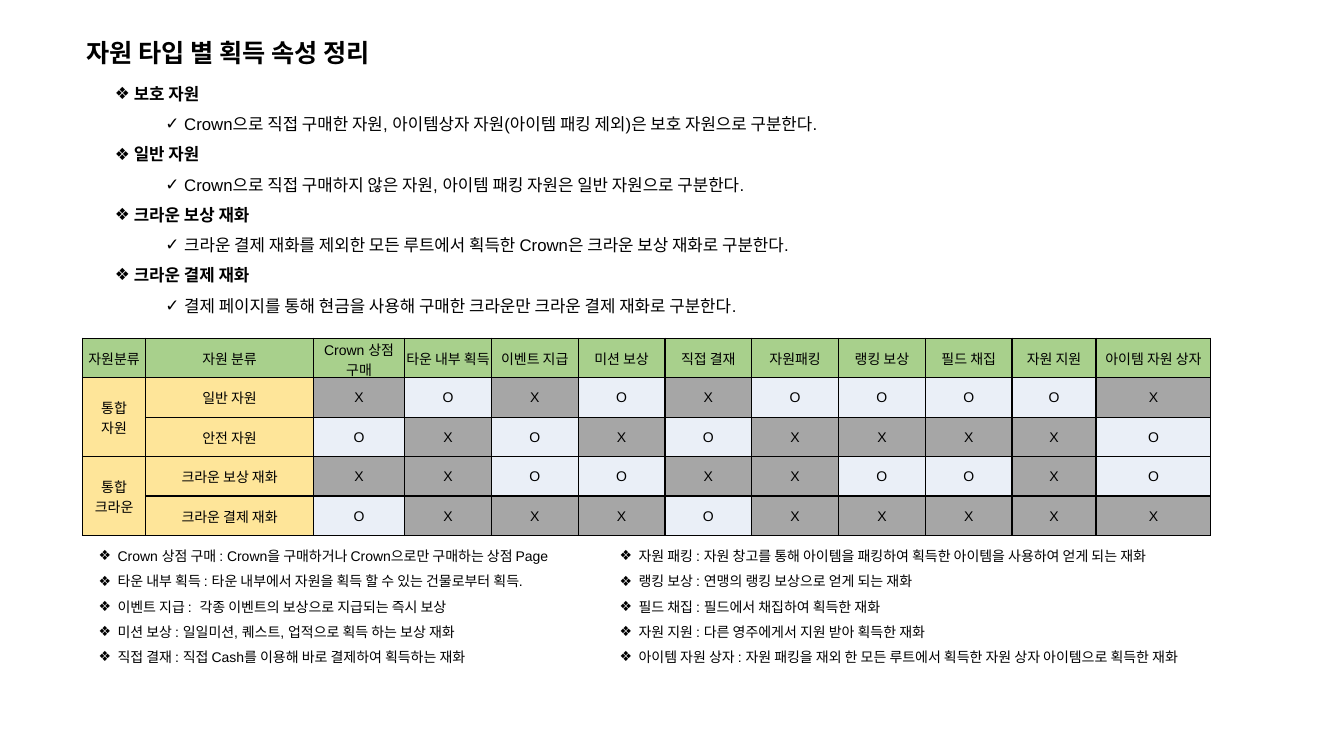
from lxml import etree
from pptx import Presentation
from pptx.dml.color import RGBColor
from pptx.enum import text
from pptx.oxml import ns
from pptx.util import Pt

COLORS = {"ink": "000000", "header": "A8D08C", "label": "FEE599",
          "X": "A6A6A6", "O": "EAEFF7"}
FONT = "Arial"

TITLE = "자원 타입 별 획득 속성 정리"
DEFINITIONS = [
    ("보호 자원", "Crown으로 직접 구매한 자원, 아이템상자 자원(아이템 패킹 제외)은 보호 자원으로 구분한다."),
    ("일반 자원", "Crown으로 직접 구매하지 않은 자원, 아이템 패킹 자원은 일반 자원으로 구분한다."),
    ("크라운 보상 재화", "크라운 결제 재화를 제외한 모든 루트에서 획득한 Crown은 크라운 보상 재화로 구분한다."),
    ("크라운 결제 재화", "결제 페이지를 통해 현금을 사용해 구매한 크라운만 크라운 결제 재화로 구분한다."),
]
HEADERS = ["자원분류", "자원 분류", "Crown 상점 구매", "타운 내부 획득", "이벤트 지급", "미션 보상",
           "직접 결재", "자원패킹", "랭킹 보상", "필드 채집", "자원 지원", "아이템 자원 상자"]
ROWS = [
    ("일반 자원", "XOXOXOOOOX"),
    ("안전 자원", "OXOXOXXXXO"),
    ("크라운 보상 재화", "XXOOXXOOXO"),
    ("크라운 결제 재화", "OXXXOXXXXX"),
]
GROUPS = ["통합\n자원", "통합\n크라운"]
COLUMN_WIDTHS = [45, 120, 65] + [62] * 7 + [60, 82]
ROW_HEIGHT = 28.2
NOTES_LEFT = [
    "Crown 상점 구매 : Crown을 구매하거나 Crown으로만 구매하는 상점 Page",
    "타운 내부 획득 : 타운 내부에서 자원을 획득 할 수 있는 건물로부터 획득.",
    "이벤트 지급 :  각종 이벤트의 보상으로 지급되는 즉시 보상",
    "미션 보상 : 일일미션, 퀘스트, 업적으로 획득 하는 보상 재화",
    "직접 결재 : 직접 Cash를 이용해 바로 결제하여 획득하는 재화",
]
NOTES_RIGHT = [
    "자원 패킹 : 자원 창고를 통해 아이템을 패킹하여 획득한 아이템을 사용하여 얻게 되는 재화",
    "랭킹 보상 : 연맹의 랭킹 보상으로 얻게 되는 재화",
    "필드 채집 : 필드에서 채집하여 획득한 재화",
    "자원 지원 : 다른 영주에게서 지원 받아 획득한 재화",
    "아이템 자원 상자 : 자원 패킹을 재외 한 모든 루트에서 획득한 자원 상자 아이템으로 획득한 재화",
]


def color(name):
    return RGBColor.from_string(COLORS[name])


def set_values(target, values):
    for name, value in values.items():
        setattr(target, name, value)


def write(para, words, size, bold=False):
    span = para.add_run()
    span.text = words
    set_values(span.font, {"name": FONT, "size": Pt(size), "bold": bold})
    span.font.color.rgb = color("ink")


def add_bullet(para, mark, indent):
    set_values(para, {"line_spacing": 1.5, "level": 1 if mark == "❖" else 2})
    props = para._p.get_or_add_pPr()
    props.set("marL", str(Pt(indent)))
    props.set("indent", str(Pt(-13.5)))
    etree.SubElement(props, ns.qn("a:buFont"), typeface=FONT)
    etree.SubElement(props, ns.qn("a:buChar"), char=mark)


def add_text(page, box, lines):
    """Each line is (words, size, bold, bullet mark, indent)."""
    frame = page.shapes.add_textbox(*map(Pt, box)).text_frame
    frame.word_wrap = True
    for index, (words, size, bold, mark, indent) in enumerate(lines):
        para = frame.add_paragraph() if index else frame.paragraphs[0]
        if mark:
            add_bullet(para, mark, indent)
        write(para, words, size, bold)


def add_title(page, box):
    add_text(page, box, [(TITLE, 18, True, None, 0)])


def add_definitions(page, box):
    lines = []
    for term, meaning in DEFINITIONS:
        lines += [(term, 12, True, "❖", 49.5), (meaning, 12, False, "✓", 85.5)]
    add_text(page, box, lines)


def add_notes(page, box, notes):
    add_text(page, box, [(note, 10, False, "❖", 49.5) for note in notes])


def add_borders(cell):
    props = cell._tc.get_or_add_tcPr()
    for index, side in enumerate(("lnL", "lnR", "lnT", "lnB")):
        line = etree.Element(ns.qn("a:" + side), w=str(Pt(1)))
        fill = etree.SubElement(line, ns.qn("a:solidFill"))
        etree.SubElement(fill, ns.qn("a:srgbClr"), val=COLORS["ink"])
        props.insert(index, line)


def fill_cell(cell, words, fill):
    set_values(cell, {"margin_left": Pt(0.7), "margin_right": Pt(0.7),
                      "margin_top": Pt(0.7), "margin_bottom": 0,
                      "vertical_anchor": text.MSO_ANCHOR.MIDDLE})
    cell.fill.solid()
    cell.fill.fore_color.rgb = color(fill)
    add_borders(cell)
    for index, line in enumerate(words.split("\n")):
        frame = cell.text_frame
        para = frame.add_paragraph() if index else frame.paragraphs[0]
        para.alignment = text.PP_ALIGN.CENTER
        write(para, line, 10)


def add_matrix(page, box):
    table = page.shapes.add_table(len(ROWS) + 1, len(HEADERS), *map(Pt, box)).table
    set_values(table, {"first_row": False, "horz_banding": False})
    for column, width in zip(table.columns, COLUMN_WIDTHS):
        column.width = Pt(width)
    for row in table.rows:
        row.height = Pt(ROW_HEIGHT)
    # Header row
    for column, words in enumerate(HEADERS):
        fill_cell(table.cell(0, column), words, "header")
    # Resource rows, two to a group
    for row, (name, marks) in enumerate(ROWS, 1):
        group = GROUPS[(row - 1) // 2] if row % 2 else ""
        fill_cell(table.cell(row, 0), group, "label")
        fill_cell(table.cell(row, 1), name, "label")
        for column, mark in enumerate(marks, 2):
            fill_cell(table.cell(row, column), mark, mark)
    for row in range(1, len(ROWS), 2):
        table.cell(row, 0).merge(table.cell(row + 1, 0))


def main():
    deck = Presentation()
    set_values(deck, {"slide_width": Pt(960), "slide_height": Pt(540)})
    page = deck.slides.add_slide(deck.slide_layouts[6])
    add_title(page, (54.7, 23, 247, 29))
    add_definitions(page, (39, 49, 798, 182))
    add_matrix(page, (59, 241.6, sum(COLUMN_WIDTHS), ROW_HEIGHT * 5))
    add_notes(page, (27.4, 381.6, 458, 114), NOTES_LEFT)
    add_notes(page, (399.6, 381.6, 485, 114), NOTES_RIGHT)
    deck.save("out.pptx")


if __name__ == "__main__":
    main()
